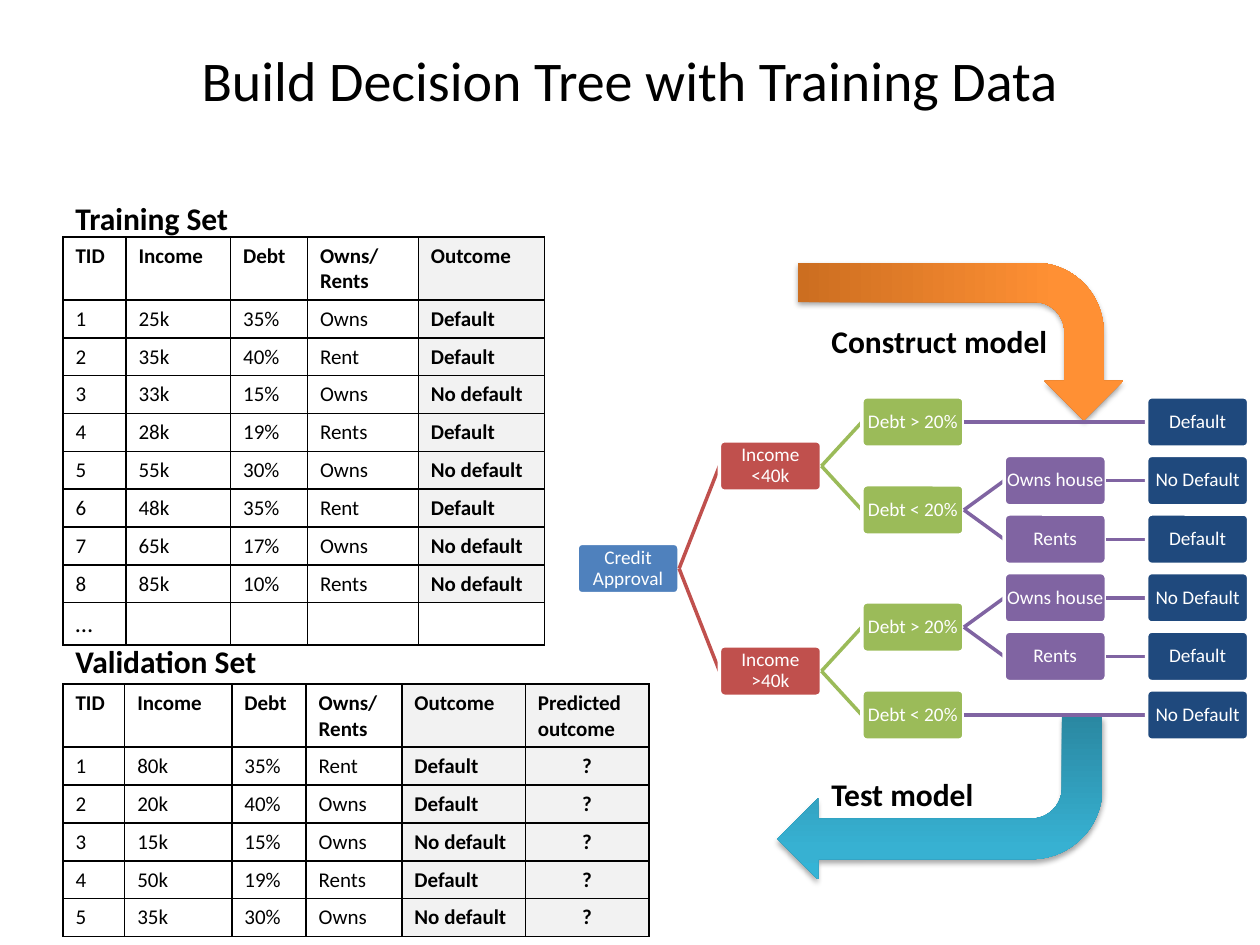
from dataclasses import dataclass

from lxml import etree
from pptx import Presentation
from pptx.dml.color import RGBColor
from pptx.enum.shapes import MSO_CONNECTOR, MSO_SHAPE
from pptx.enum.text import MSO_ANCHOR, MSO_AUTO_SIZE, PP_ALIGN
from pptx.oxml import parse_xml
from pptx.oxml.ns import nsdecls, qn
from pptx.util import Inches, Pt

STRAIGHT = MSO_CONNECTOR.STRAIGHT
BENT_ARROW = MSO_SHAPE.BENT_ARROW
ROUNDED = MSO_SHAPE.ROUNDED_RECTANGLE
MIDDLE = MSO_ANCHOR.MIDDLE
FIT_SHAPE = MSO_AUTO_SIZE.SHAPE_TO_FIT_TEXT
CENTER = PP_ALIGN.CENTER

FONT = "Calibri"
BLACK = RGBColor(0x00, 0x00, 0x00)
WHITE = RGBColor(0xFF, 0xFF, 0xFF)
OUTCOME_GRAY = RGBColor(0xF2, 0xF2, 0xF2)
BLUE = RGBColor(0x4F, 0x81, 0xBD)
RED = RGBColor(0xC0, 0x50, 0x4D)
GREEN = RGBColor(0x9B, 0xBB, 0x59)
PURPLE = RGBColor(0x80, 0x64, 0xA2)
NAVY = RGBColor(0x1F, 0x49, 0x7D)
ORANGE_STOPS = ((0, "CC6E20"), (80, "FF9034"), (100, "FF9136"))
TEAL_STOPS = ((0, "2A88A2"), (80, "37B1D2"), (100, "34B4D6"))

# Tree grid, in inches
LEVEL_COLORS = (BLUE, RED, GREEN, PURPLE, NAVY)
LEAF_LEVEL = len(LEVEL_COLORS) - 1
TREE_LEFT, LEVEL_STEP = 4.58, 1.13
TREE_TOP, LEAF_STEP = 3.15, 0.465
NODE_WIDTH, NODE_HEIGHT = 0.81, 0.4
FIRST_OUTCOME_COLUMN = 4


@dataclass
class Node:
    label: str
    children: tuple["Node", ...] = ()


@dataclass
class Label:
    text: str
    left: float
    top: float
    width: float


@dataclass
class FlowArrow:
    left: float
    top: float
    width: float
    height: float
    rotation: int
    stops: tuple


@dataclass
class DataSet:
    top: float
    widths: tuple[float, ...]
    rows: tuple[tuple[str, ...], ...]
    cell_fill: RGBColor | None


LABELS = (
    Label("Training Set", 0.5, 1.53, 1.65),
    Label("Validation Set", 0.5, 5.05, 1.65),
    Label("Construct model", 6.5, 2.51, 1.93),
    Label("Test model", 6.5, 6.1, 1.34),
)
ARROWS = (
    FlowArrow(7, 1.42, 1.25, 2.58, 90, ORANGE_STOPS),
    FlowArrow(6.17, 5.69, 2.58, 1.29, 180, TEAL_STOPS),
)
HEADER = ("TID", "Income", "Debt", "Owns/\nRents", "Outcome")
VALIDATION = DataSet(5.43, (0.49, 0.85, 0.59, 0.76, 0.98, 0.98), (
    HEADER + ("Predicted outcome",),
    ("1", "80k", "35%", "Rent", "Default", "?"),
    ("2", "20k", "40%", "Owns", "Default", "?"),
    ("3", "15k", "15%", "Owns", "No default", "?"),
    ("4", "50k", "19%", "Rents", "Default", "?"),
    ("5", "35k", "30%", "Owns", "No default", "?"),
), WHITE)
TRAINING = DataSet(1.88, (0.5, 0.83, 0.61, 0.88, 1), (
    HEADER,
    ("1", "25k", "35%", "Owns", "Default"),
    ("2", "35k", "40%", "Rent", "Default"),
    ("3", "33k", "15%", "Owns", "No default"),
    ("4", "28k", "19%", "Rents", "Default"),
    ("5", "55k", "30%", "Owns", "No default"),
    ("6", "48k", "35%", "Rent", "Default"),
    ("7", "65k", "17%", "Owns", "No default"),
    ("8", "85k", "10%", "Rents", "No default"),
    ("…", "", "", "", ""),
), None)

HOUSING = (Node("Owns house", (Node("No Default"),)),
           Node("Rents", (Node("Default"),)))
CREDIT_TREE = Node("Credit\nApproval", (
    Node("Income\n<40k", (Node("Debt > 20%", (Node("Default"),)),
                          Node("Debt < 20%", HOUSING))),
    Node("Income\n>40k", (Node("Debt > 20%", HOUSING),
                          Node("Debt < 20%", (Node("No Default"),)))),
))


def write(paragraph, text: str, size: float, color: RGBColor, bold: bool = False) -> None:
    for index, line in enumerate(text.split("\n")):
        if index:
            paragraph.add_line_break()
        run = paragraph.add_run()
        run.text = line
        run.font.name, run.font.size = FONT, Pt(size)
        run.font.bold, run.font.color.rgb = bold, color


def draw_arrow(slide, arrow: FlowArrow) -> None:
    shape = slide.shapes.add_shape(BENT_ARROW, Inches(arrow.left), Inches(arrow.top),
                                   Inches(arrow.width), Inches(arrow.height))
    shape.rotation = arrow.rotation
    shape.line.fill.background()
    shape.fill.gradient()
    shape.fill.gradient_angle = 90
    properties = shape._element.spPr
    stop_list = properties.find(qn("a:gradFill")).find(qn("a:gsLst"))
    for stop in list(stop_list):
        stop_list.remove(stop)
    for position, color in arrow.stops:
        stop_list.append(parse_xml(f'<a:gs {nsdecls("a")} pos="{position * 1000}">'
                                   f'<a:srgbClr val="{color}"/></a:gs>'))
    shape.shadow.inherit = False
    properties.find(qn("a:effectLst")).append(parse_xml(
        f'<a:outerShdw {nsdecls("a")} blurRad="40000" dist="23000" dir="5400000" '
        'rotWithShape="0"><a:srgbClr val="000000"><a:alpha val="35000"/>'
        '</a:srgbClr></a:outerShdw>'))


def draw_label(slide, label: Label) -> None:
    frame = slide.shapes.add_textbox(Inches(label.left), Inches(label.top),
                                     Inches(label.width), Inches(0.4)).text_frame
    frame.word_wrap = False
    frame.auto_size = FIT_SHAPE
    write(frame.paragraphs[0], label.text, 18, BLACK, True)


def add_borders(cell) -> None:
    properties = cell._tc.get_or_add_tcPr()
    for index, side in enumerate(("lnL", "lnR", "lnT", "lnB")):
        properties.insert(index, parse_xml(
            f'<a:{side} {nsdecls("a")} w="12700"><a:solidFill>'
            f'<a:srgbClr val="{BLACK}"/></a:solidFill></a:{side}>'))


def draw_data_set(slide, data: DataSet) -> None:
    heights = [0.44] + [0.27] * (len(data.rows) - 1)
    table = slide.shapes.add_table(len(data.rows), len(data.widths), Inches(0.5),
                                   Inches(data.top), Inches(sum(data.widths)),
                                   Inches(sum(heights))).table
    table.first_row = table.horz_banding = False
    for column, width in zip(table.columns, data.widths):
        column.width = Inches(width)
    for r, (values, height) in enumerate(zip(data.rows, heights)):
        table.rows[r].height = Inches(height)
        for c, value in enumerate(values):
            cell = table.cell(r, c)
            is_outcome = c >= FIRST_OUTCOME_COLUMN
            fill = OUTCOME_GRAY if is_outcome and value else data.cell_fill
            if fill is None:
                cell.fill.background()
            else:
                cell.fill.solid()
                cell.fill.fore_color.rgb = fill
            add_borders(cell)
            paragraph = cell.text_frame.paragraphs[0]
            if value:
                write(paragraph, value, 14 if value == "…" else 12, BLACK,
                      r == 0 or is_outcome)
            else:
                etree.SubElement(paragraph._p, qn("a:endParaRPr"), sz="1200")
            if value == "?":
                paragraph.alignment = CENTER


def count_leaves(node: Node) -> int:
    return sum(map(count_leaves, node.children)) or 1


def middle_of(node: Node, first_leaf: int) -> float:
    """Vertical middle: leaves are evenly spaced, parents sit between their children."""
    if not node.children:
        return TREE_TOP + NODE_HEIGHT / 2 + first_leaf * LEAF_STEP
    last = node.children[-1]
    last_leaf = first_leaf + count_leaves(node) - count_leaves(last)
    return (middle_of(node.children[0], first_leaf) + middle_of(last, last_leaf)) / 2


def draw_node(slide, node: Node, level: int, left: float, middle: float) -> None:
    box = slide.shapes.add_shape(ROUNDED, Inches(left), Inches(middle - NODE_HEIGHT / 2),
                                 Inches(NODE_WIDTH), Inches(NODE_HEIGHT))
    box.adjustments[0] = 0.1
    box.shadow.inherit = False
    box.fill.solid()
    box.fill.fore_color.rgb = LEVEL_COLORS[level]
    box.line.color.rgb, box.line.width = WHITE, Pt(2)
    frame = box.text_frame
    frame.margin_left = frame.margin_right = frame.margin_top = frame.margin_bottom = 0
    frame.word_wrap, frame.vertical_anchor = True, MIDDLE
    paragraph = frame.paragraphs[0]
    paragraph.alignment, paragraph.line_spacing = CENTER, 0.9
    write(paragraph, node.label, 11, WHITE)


def draw_branch(slide, start: tuple[float, float], end: tuple[float, float],
                color: RGBColor) -> None:
    branch = slide.shapes.add_connector(STRAIGHT, *map(Inches, start + end))
    branch.line.color.rgb, branch.line.width = color, Pt(2)
    etree.SubElement(branch._element.spPr, qn("a:effectLst"))


def draw_tree(slide, node: Node, level: int = 0, first_leaf: int = 0) -> None:
    left, middle = TREE_LEFT + level * LEVEL_STEP, middle_of(node, first_leaf)
    draw_node(slide, node, level, left, middle)
    for child in node.children:
        child_level = level + 1 if child.children else LEAF_LEVEL
        child_left = TREE_LEFT + child_level * LEVEL_STEP
        draw_branch(slide, (left + NODE_WIDTH, middle),
                    (child_left, middle_of(child, first_leaf)),
                    LEVEL_COLORS[min(child_level, LEAF_LEVEL - 1)])
        draw_tree(slide, child, child_level, first_leaf)
        first_leaf += count_leaves(child)


def main() -> None:
    deck = Presentation()
    deck.slide_width, deck.slide_height = Inches(10), Inches(7.5)
    slide = deck.slides.add_slide(deck.slide_layouts[5])

    # Title
    title = slide.shapes.title
    title.left, title.top, title.width, title.height = map(Inches, (0.5, 0, 9, 1.25))
    title.text_frame.vertical_anchor = MIDDLE
    heading = title.text_frame.paragraphs[0]
    heading.alignment = CENTER
    write(heading, "Build Decision Tree with Training Data", 32, BLACK)

    # Flow arrows and captions
    for arrow in ARROWS:
        draw_arrow(slide, arrow)
    for label in LABELS:
        draw_label(slide, label)

    # Data tables and decision tree
    for data in (VALIDATION, TRAINING):
        draw_data_set(slide, data)
    draw_tree(slide, CREDIT_TREE)

    deck.save("out.pptx")


if __name__ == "__main__":
    main()
